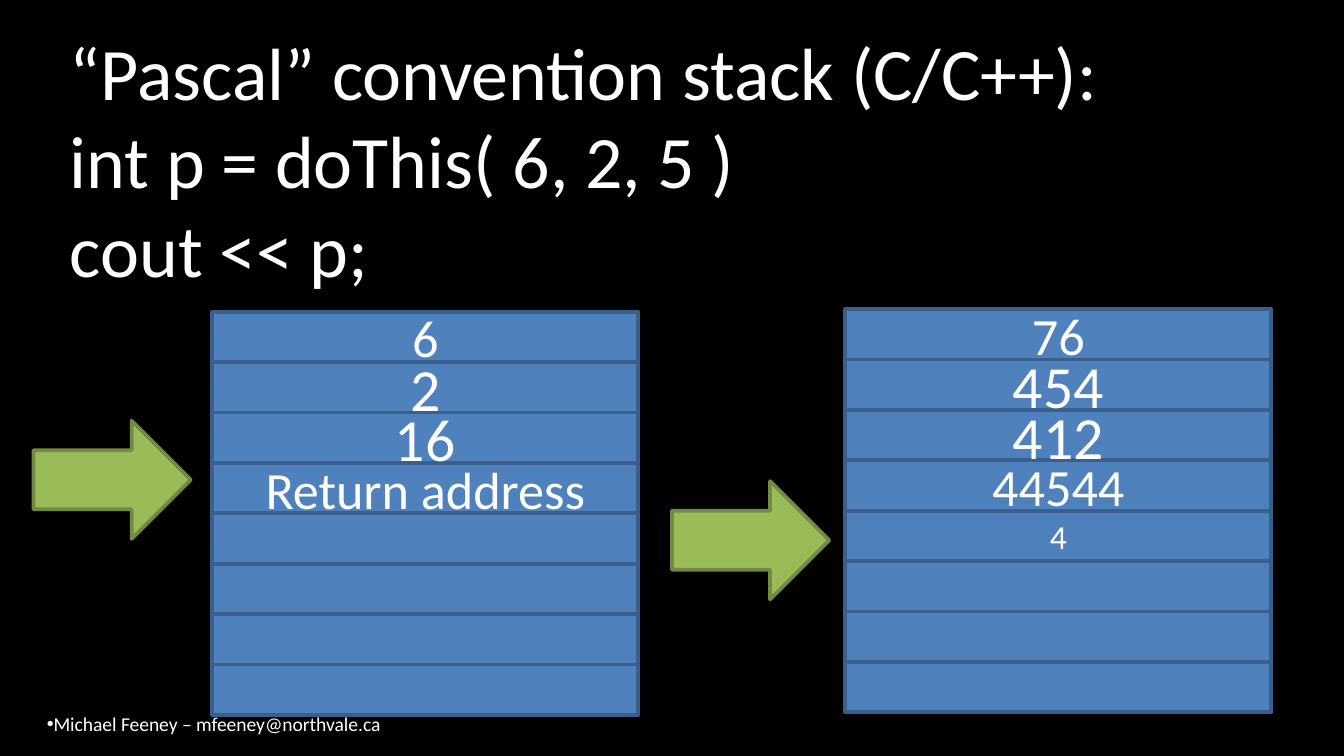
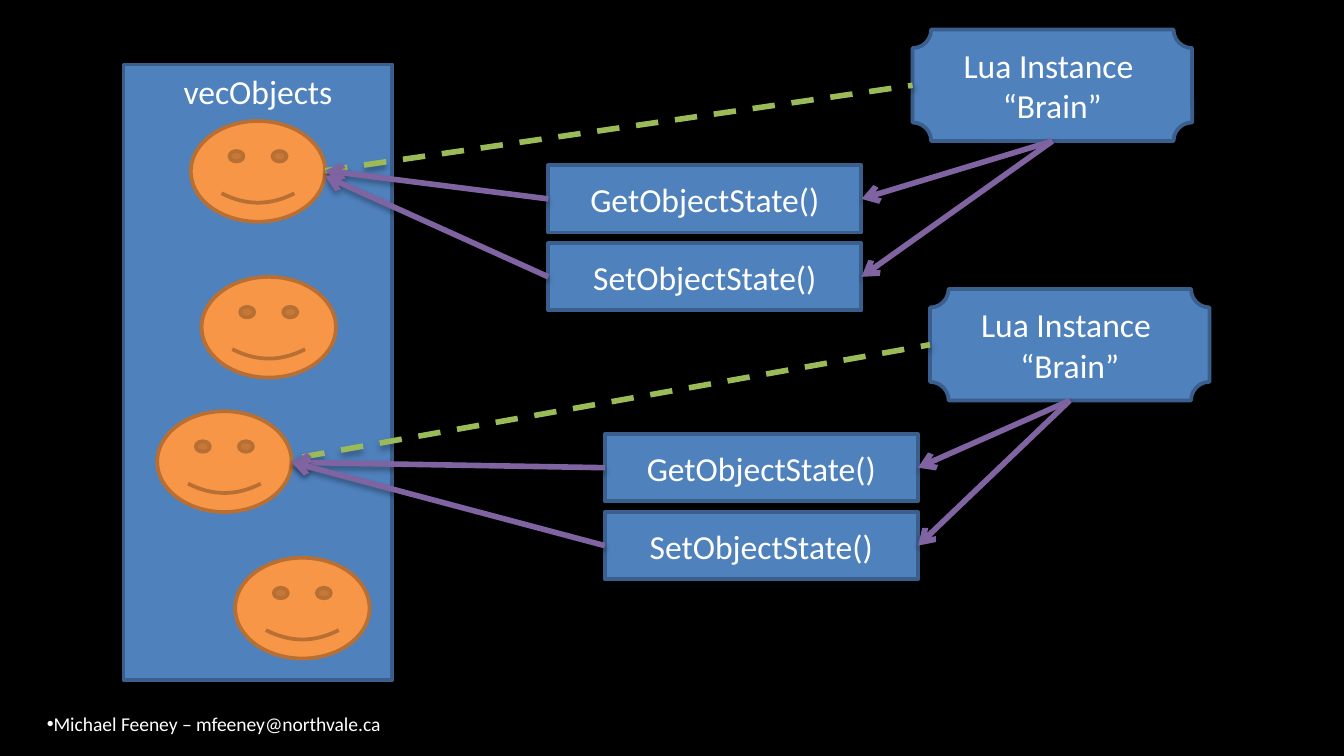
import pptx
import pptx.util
import pptx.dml.color
import pptx.enum.dml
import pptx.enum.shapes
import pptx.enum.text
import pptx.oxml
import pptx.oxml.ns
from dataclasses import dataclass

Inches, Pt = pptx.util.Inches, pptx.util.Pt
SHAPE = pptx.enum.shapes.MSO_SHAPE
ANCHOR = pptx.enum.text.MSO_ANCHOR
ALIGN = pptx.enum.text.PP_ALIGN


@dataclass(frozen=True)
class Theme:
    """Colours, fonts and sizes shared by the slides."""
    font: str = "Calibri"
    bullet_font: str = "Arial"
    background: str = "000000"
    text: str = "FFFFFF"
    box: tuple = ("4F81BD", "3A5F8C")
    pointer: tuple = ("9BBB59", "738A42")
    face: tuple = ("F79646", "B76F34")
    call_line: str = "8064A2"
    owner_line: str = "9BBB59"
    title_size: float = 39.6
    body_size: float = 18
    footer_size: float = 10.5
    outline: float = 2
    link: float = 3


T = Theme()

# ---- Content ----
FOOTER = "Michael Feeney \u2013 mfeeney@northvale.ca"
TITLE = ["\u201cPascal\u201d convention stack (C/C++):",
         "int p = doThis( 6, 2, 5 )",
         "cout << p;"]
ROW_COUNT = 8
STACKS = [  # rows are (text, size) from the top down
    {"at": (1.58, 2.32), "pointer": (0.25, 3.13),
     "rows": [("6", 28), ("2", 32), ("16", 32), ("Return address", 28)]},
    {"at": (6.29, 2.3), "pointer": (5, 3.58),
     "rows": [("76", 28), ("454", 32), ("412", 32), ("44544", 28), ("4", 18)]},
]
VECTOR = ("vecObjects", (0.92, 0.48, 2, 4.58))
FACES = [(1.42, 0.9), (1.5, 2.06), (1.17, 3.06), (1.75, 4.15)]
BRAIN = ["Lua Instance ", "\u201cBrain\u201d"]
CALLS = ["GetObjectState()", "SetObjectState()"]
SCRIPTS = [  # call_ends: where each call's arrow meets its face
    {"brain": (6.79, 0.22), "calls": (4.08, 1.23), "owner": (2.42, 1.27),
     "call_ends": [(2.42, 1.27), (2.42, 1.31)]},
    {"brain": (6.92, 2.15), "calls": (4.5, 3.23), "owner": (2.25, 3.4),
     "call_ends": [(2.17, 3.44), (2.17, 3.44)]},
]

# ---- Sizes in inches ----
SLIDE_W = 10
SLIDE_H = SLIDE_W * 9 / 16
ROW_W, ROW_H = 3.17, 3 / 8
POINTER_W, POINTER_H = 1.17, 0.88
FACE_W, FACE_H = 1, 0.75
BRAIN_W, BRAIN_H = 2.08, 0.83
CALL_W, CALL_H, CALL_PITCH = 2.33, 0.5, 0.58
LEFT_SITE, BOTTOM_SITE, RIGHT_SITE = 1, 2, 3


def rgb(value):
    """Turn a hex string into a colour."""
    return pptx.dml.color.RGBColor.from_string(value)


def xml(tag, content="", **attrs):
    """Make a drawing element from its tag, inner markup and attributes."""
    pairs = "".join(f' {k}="{v}"' for k, v in attrs.items())
    return pptx.oxml.parse_xml(
        f'<a:{tag} {pptx.oxml.ns.nsdecls("a")}{pairs}>{content}</a:{tag}>')


def add_run(p, text, size):
    """Add one run in the theme font."""
    r = p.add_run()
    r.text = text
    r.font.name, r.font.size = T.font, Pt(size)
    r.font.color.rgb = rgb(T.text)


def add_shape(s, kind, box, colors, lines=(), size=T.body_size,
              anchor=ANCHOR.MIDDLE):
    """Add a filled, outlined shape with centred lines of text."""
    sp = s.shapes.add_shape(kind, *map(Inches, box))
    sp.shadow.inherit = False
    sp.fill.solid()
    sp.fill.fore_color.rgb = rgb(colors[0])
    sp.line.color.rgb = rgb(colors[1])
    sp.line.width = Pt(T.outline)
    tf = sp.text_frame
    tf.word_wrap, tf.vertical_anchor = True, anchor
    for i, line in enumerate(lines):
        p = tf.add_paragraph() if i else tf.paragraphs[0]
        p.alignment = ALIGN.CENTER
        add_run(p, line, size)
    return sp


def add_link(s, color, start, end, dashed=False):
    """Join two ends; each is a point or a (shape, site) pair."""
    ends = [start, end]
    points = [(0, 0) if hasattr(e[0], "shape_id") else e for e in ends]
    c = s.shapes.add_connector(pptx.enum.shapes.MSO_CONNECTOR.STRAIGHT,
                               *(Inches(v) for pt in points for v in pt))
    for e, connect in zip(ends, (c.begin_connect, c.end_connect)):
        if hasattr(e[0], "shape_id"):
            connect(*e)
    c.line.color.rgb = rgb(color)
    c.line.width = Pt(T.link)
    if dashed:
        c.line.dash_style = pptx.enum.dml.MSO_LINE.DASH
    else:
        c.line._get_or_add_ln().append(xml("tailEnd", type="arrow"))
    c._element.spPr.append(xml(
        "effectLst",
        f'<a:outerShdw blurRad="{Pt(3.1)}" dist="{Pt(1.8)}" dir="5400000" '
        'rotWithShape="0"><a:srgbClr val="000000"><a:alpha val="35000"/>'
        '</a:srgbClr></a:outerShdw>'))


def add_text_box(s, box, anchor=ANCHOR.TOP):
    """Add a wrapping text box and return its first paragraph."""
    tf = s.shapes.add_textbox(*map(Inches, box)).text_frame
    tf.word_wrap, tf.vertical_anchor = True, anchor
    return tf.paragraphs[0]


def new_slide(prs):
    """Add a blank slide with the shared background and footer."""
    s = prs.slides.add_slide(prs.slide_layouts[6])
    s.background.fill.solid()
    s.background.fill.fore_color.rgb = rgb(T.background)
    p = add_text_box(s, (0.25, 5.25, 7.92, 0.29))
    pPr = p._p.get_or_add_pPr()
    pPr.append(xml("buFont", typeface=T.bullet_font))
    pPr.append(xml("buChar", char="\u2022"))
    add_run(p, FOOTER, T.footer_size)
    return s


def add_title(s, lines):
    """Add the title, one line break between lines."""
    p = add_text_box(s, (0.42, 0.31, 8.92, 1.75), ANCHOR.MIDDLE)
    for i, line in enumerate(lines):
        if i:
            p.add_line_break()
        add_run(p, line, T.title_size)


def add_stack(s, stack):
    """Draw stack rows from the bottom up, the pointer after the first."""
    left, top = stack["at"]
    for i in reversed(range(ROW_COUNT)):
        box = (left, top + i * ROW_H, ROW_W, ROW_H)
        if i < len(stack["rows"]):
            text, size = stack["rows"][i]
            add_shape(s, SHAPE.RECTANGLE, box, T.box, [text], size)
        else:
            add_shape(s, SHAPE.RECTANGLE, box, T.box)
        if i == ROW_COUNT - 1:
            add_shape(s, SHAPE.RIGHT_ARROW,
                      (*stack["pointer"], POINTER_W, POINTER_H), T.pointer)


def add_script(s, script):
    """Draw a script instance, its calls and the links to its object."""
    brain = add_shape(s, SHAPE.PLAQUE, (*script["brain"], BRAIN_W, BRAIN_H),
                      T.box, BRAIN)
    add_link(s, T.owner_line, script["owner"], (brain, LEFT_SITE), dashed=True)
    left, top = script["calls"]
    calls = [add_shape(s, SHAPE.RECTANGLE,
                       (left, top + i * CALL_PITCH, CALL_W, CALL_H),
                       T.box, [name]) for i, name in enumerate(CALLS)]
    for call, end in zip(calls, script["call_ends"]):
        add_link(s, T.call_line, (call, LEFT_SITE), end)
    for call in calls:
        add_link(s, T.call_line, (brain, BOTTOM_SITE), (call, RIGHT_SITE))


prs = pptx.Presentation()
prs.slide_width, prs.slide_height = Inches(SLIDE_W), Inches(SLIDE_H)

s = new_slide(prs)
add_title(s, TITLE)
for stack in STACKS:
    add_stack(s, stack)

s = new_slide(prs)
label, box = VECTOR
add_shape(s, SHAPE.RECTANGLE, box, T.box, [label], anchor=ANCHOR.TOP)
for at in FACES:
    add_shape(s, SHAPE.SMILEY_FACE, (*at, FACE_W, FACE_H), T.face)
for script in SCRIPTS:
    add_script(s, script)

prs.save("out.pptx")
